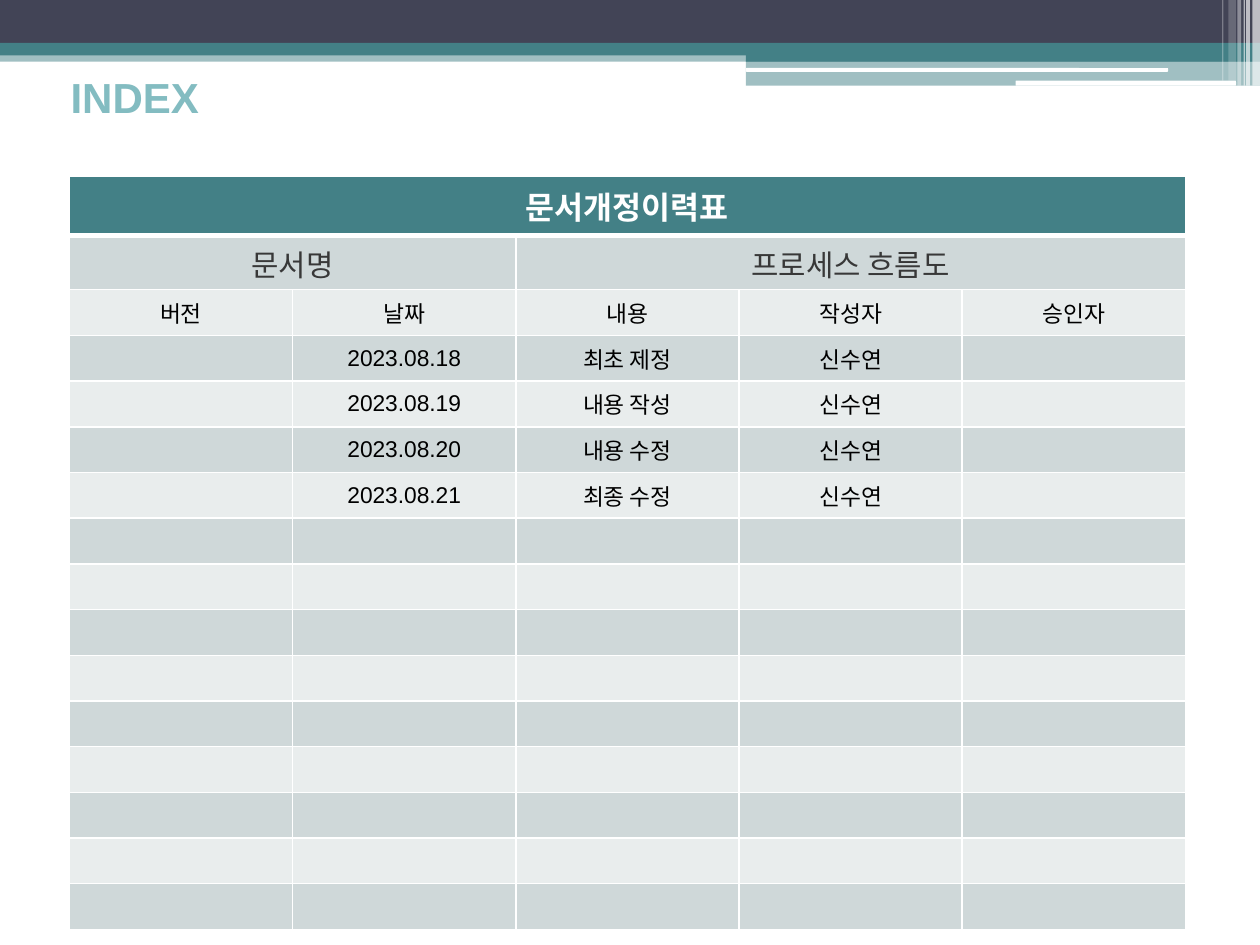
from lxml import etree
from pptx import Presentation
from pptx.dml.color import RGBColor
from pptx.enum import shapes, text
from pptx.oxml.ns import qn
from pptx.util import Inches, Pt

TEAL, NAVY, WHITE = "438086", "424456", "FFFFFF"
BANDS = ("CFD8D9", "E9EDED")
COLUMNS, BODY_ROWS = 5, 14
HEADINGS = ("버전", "날짜", "내용", "작성자", "승인자")
REVISIONS = (
    ("2023.08.18", "최초 제정"),
    ("2023.08.19", "내용 작성"),
    ("2023.08.20", "내용 수정"),
    ("2023.08.21", "최종 수정"),
)
AUTHOR = "신수연"


def paint(fill, color, opacity=100):
    """Apply a solid hex colour with an opacity in percent."""
    fill.solid()
    fill.fore_color.rgb = RGBColor.from_string(color)
    if opacity < 100:
        srgb = fill._xPr.find(qn("a:solidFill"))[0]
        etree.SubElement(srgb, qn("a:alpha"), val=str(opacity * 1000))


def add_bar(slide, box, color, opacity=100, rounded=False):
    """Draw one borderless bar in the given box."""
    kind = shapes.MSO_SHAPE.ROUNDED_RECTANGLE if rounded else shapes.MSO_SHAPE.RECTANGLE
    bar = slide.shapes.add_shape(kind, *map(Inches, box))
    bar.shadow.inherit = False
    bar.line.fill.background()
    paint(bar.fill, color, opacity)


def add_banner(slide, left, top, width):
    """Draw the layered banner along the top edge."""
    step = left + 5.92
    step_width = left + width - step
    add_bar(slide, (left, top + 0.4, width, 0.09), TEAL, 50)
    add_bar(slide, (left, top, width, 0.34), NAVY)
    add_bar(slide, (left, top + 0.34, width, 0.1), TEAL)
    add_bar(slide, (step, top + 0.39, step_width, 0.1), TEAL)
    add_bar(slide, (step, top + 0.48, step_width, 0.2), TEAL, 50)
    add_bar(slide, (step, top + 0.54, 3.35, 0.03), WHITE, rounded=True)
    add_bar(slide, (left + 8.06, top + 0.64, 1.75, 0.04), WHITE, rounded=True)
    stripes = (
        (9.94, 0.06, 0.68, 65), (9.89, 0.03, 0.68, 65), (9.87, 0.01, 0.68, 60),
        (9.82, 0.03, 0.68, 40), (9.75, 0.06, 0.64, 20), (9.7, 0.01, 0.64, 30),
    )
    for offset, stripe_width, height, opacity in stripes:
        add_bar(slide, (left + offset, top, stripe_width, height), WHITE, opacity)


def format_run(run, size, color, bold):
    """Set the typeface, size, colour and weight of a run."""
    run.font.name = "Arial"
    run.font.size = Pt(size)
    run.font.bold = bold
    run.font.color.rgb = RGBColor.from_string(color)


def add_heading(slide, left, top, width, height):
    """Place the slide title in its placeholder."""
    title = slide.shapes.title
    title.left, title.top, title.width, title.height = map(Inches, (left, top, width, height))
    frame = title.text_frame
    frame.text = "INDEX"
    frame.word_wrap = False
    frame.auto_size = text.MSO_AUTO_SIZE.SHAPE_TO_FIT_TEXT
    frame.vertical_anchor = text.MSO_ANCHOR.TOP
    frame.paragraphs[0].alignment = text.PP_ALIGN.LEFT
    format_run(frame.paragraphs[0].runs[0], 24, "83BCC1", True)


def add_border(cell, side, points):
    """Give one side of a cell a white line."""
    line = etree.SubElement(cell._tc.get_or_add_tcPr(), qn(f"a:ln{side}"), w=str(Pt(points)))
    solid = etree.SubElement(line, qn("a:solidFill"))
    etree.SubElement(solid, qn("a:srgbClr"), val=WHITE)


def style_cell(cell, row):
    """Format a cell by its row in the revision table."""
    thick_side = {0: "B", 1: "T"}.get(row)
    for side in "LRTB":
        add_border(cell, side, 3 if side == thick_side else 1)
    paint(cell.fill, BANDS[(row - 1) % 2] if row else TEAL)
    cell.vertical_anchor = text.MSO_ANCHOR.MIDDLE
    paragraph = cell.text_frame.paragraphs[0]
    paragraph.alignment = text.PP_ALIGN.CENTER
    size, color = {0: (18, WHITE), 1: (17, "383838")}.get(row, (13, "000000"))
    for run in paragraph.runs:
        format_run(run, size, color, row == 0)
    if not paragraph.runs:
        etree.SubElement(paragraph._p, qn("a:endParaRPr"), sz=str(size * 100))


def add_revision_table(slide, left, top, width, height):
    """Build the document revision table in the given box."""
    frame = slide.shapes.add_table(BODY_ROWS + 2, COLUMNS, *map(Inches, (left, top, width, height)))
    table = frame.table
    title_height, name_height = 0.47, 0.43
    body_height = (height - title_height - name_height) / BODY_ROWS
    for row, row_height in zip(table.rows, [title_height, name_height] + [body_height] * BODY_ROWS):
        row.height = Inches(row_height)
    for column in table.columns:
        column.width = Inches(width / COLUMNS)

    contents = [("문서개정이력표",), ("문서명", "", "프로세스 흐름도"), HEADINGS]
    contents += [("", date, change, AUTHOR) for date, change in REVISIONS]
    for row, values in enumerate(contents):
        for column, value in enumerate(values):
            if value:
                table.cell(row, column).text = value
    for row in range(BODY_ROWS + 2):
        for column in range(COLUMNS):
            style_cell(table.cell(row, column), row)
    for row, first, last in ((0, 0, 4), (1, 0, 1), (1, 2, 4)):
        table.cell(row, first).merge(table.cell(row, last))


def main():
    """Build and save the revision history slide."""
    deck = Presentation()
    deck.slide_width, deck.slide_height = Inches(10), Inches(7.5)
    slide = deck.slides.add_slide(deck.slide_layouts[5])
    add_banner(slide, 0, 0, 10)
    add_revision_table(slide, 0.55, 1.4, 8.86, 5.98)
    add_heading(slide, 0.46, 0.52, 1.23, 0.5)
    deck.save("out.pptx")


if __name__ == "__main__":
    main()
